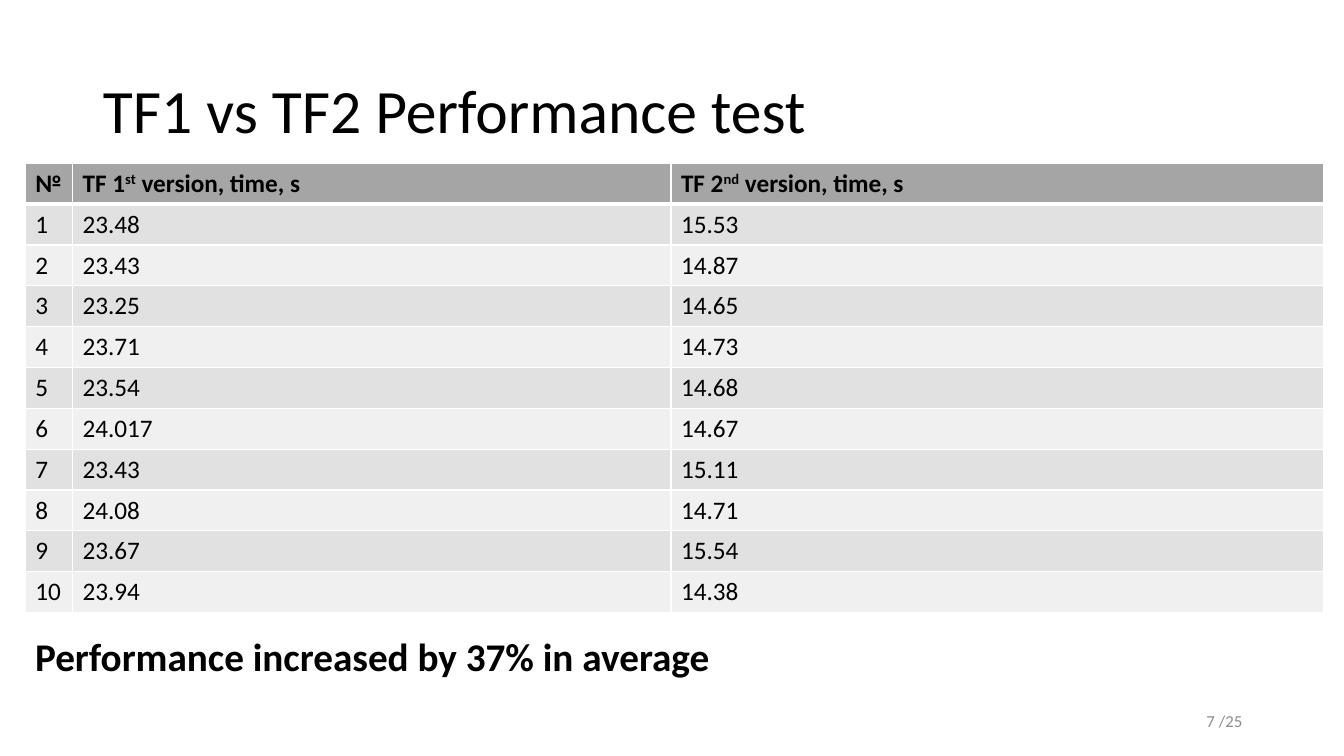
from lxml.etree import SubElement
from pptx import Presentation
from pptx.dml.color import RGBColor
from pptx.enum.text import MSO_ANCHOR, PP_ALIGN
from pptx.oxml.ns import qn
from pptx.util import Inches, Pt

FONT = "Calibri"
BLACK = RGBColor(0x00, 0x00, 0x00)
WHITE = RGBColor(0xFF, 0xFF, 0xFF)
PAGE_GREY = RGBColor(0x8C, 0x8C, 0x8C)
HEADER_GREY = RGBColor(0xA5, 0xA5, 0xA5)
BAND_GREYS = (RGBColor(0xE1, 0xE1, 0xE1), RGBColor(0xF0, 0xF0, 0xF0))

# Each header is a list of (text, superscript) runs.
HEADERS = [
    [("№", False)],
    [("TF 1", False), ("st", True), (" version, time, s", False)],
    [("TF 2", False), ("nd", True), (" version, time, s", False)],
]
TIMES = [
    ("23.48", "15.53"), ("23.43", "14.87"), ("23.25", "14.65"), ("23.71", "14.73"),
    ("23.54", "14.68"), ("24.017", "14.67"), ("23.43", "15.11"), ("24.08", "14.71"),
    ("23.67", "15.54"), ("23.94", "14.38"),
]
COLUMN_WIDTHS = (0.47, 5.94, 6.48)


def add_run(paragraph, text, size, color=BLACK, bold=False, superscript=False):
    run = paragraph.add_run()
    run.text = text
    run.font.name = FONT
    run.font.size = Pt(size)
    run.font.bold = bold
    run.font.color.rgb = color
    if superscript:
        run.font._element.set("baseline", "30000")


def add_title(slide, box, text):
    title = slide.shapes.title
    title.left, title.top, title.width, title.height = map(Inches, box)
    title.text_frame.vertical_anchor = MSO_ANCHOR.MIDDLE
    paragraph = title.text_frame.paragraphs[0]
    paragraph.alignment = PP_ALIGN.LEFT
    paragraph.line_spacing = 0.9
    add_run(paragraph, text, 44)


def add_label(slide, box, text, size, anchor=MSO_ANCHOR.TOP, align=PP_ALIGN.LEFT,
              color=BLACK, bold=False):
    frame = slide.shapes.add_textbox(*map(Inches, box)).text_frame
    frame.word_wrap = True
    frame.vertical_anchor = anchor
    paragraph = frame.paragraphs[0]
    paragraph.alignment = align
    add_run(paragraph, text, size, color, bold)


def add_borders(cell, top, bottom):
    """Draw white cell borders; top and bottom are widths in points."""
    properties = cell._tc.get_or_add_tcPr()
    for side, width in (("L", 1), ("R", 1), ("T", top), ("B", bottom)):
        line = SubElement(properties, qn(f"a:ln{side}"), w=str(Pt(width)))
        fill = SubElement(line, qn("a:solidFill"))
        SubElement(fill, qn("a:srgbClr"), val=str(WHITE))


def add_times_table(slide, box):
    rows = [HEADERS]
    for number, times in enumerate(TIMES, 1):
        rows.append([[(text, False)] for text in (str(number), *times)])
    table = slide.shapes.add_table(len(rows), len(HEADERS), *map(Inches, box)).table
    for column, width in zip(table.columns, COLUMN_WIDTHS):
        column.width = Inches(box[2] * width / sum(COLUMN_WIDTHS))
    for row_index, row in enumerate(rows):
        is_header = row_index == 0
        table.rows[row_index].height = Inches(box[3] / len(rows))
        for column_index, runs in enumerate(row):
            cell = table.cell(row_index, column_index)
            add_borders(cell, 3 if row_index == 1 else 1, 3 if is_header else 1)
            cell.fill.solid()
            cell.fill.fore_color.rgb = (
                HEADER_GREY if is_header else BAND_GREYS[(row_index - 1) % 2])
            paragraph = cell.text_frame.paragraphs[0]
            for text, superscript in runs:
                add_run(paragraph, text, 18, bold=is_header, superscript=superscript)


def main():
    presentation = Presentation()
    presentation.slide_width = Inches(13.33)
    presentation.slide_height = Inches(7.5)
    slide = presentation.slides.add_slide(presentation.slide_layouts[5])
    add_title(slide, (0.92, 0.4, 11.5, 1.45), "TF1 vs TF2 Performance test")
    add_label(slide, (9.42, 6.95, 3, 0.4), "7 /25", 12, MSO_ANCHOR.MIDDLE,
              PP_ALIGN.RIGHT, PAGE_GREY)
    add_label(slide, (0.25, 6.22, 12.06, 0.57),
              "Performance increased by 37% in average", 28, bold=True)
    add_times_table(slide, (0.25, 1.62, 12.88, 4.46))
    presentation.save("out.pptx")


if __name__ == "__main__":
    main()
